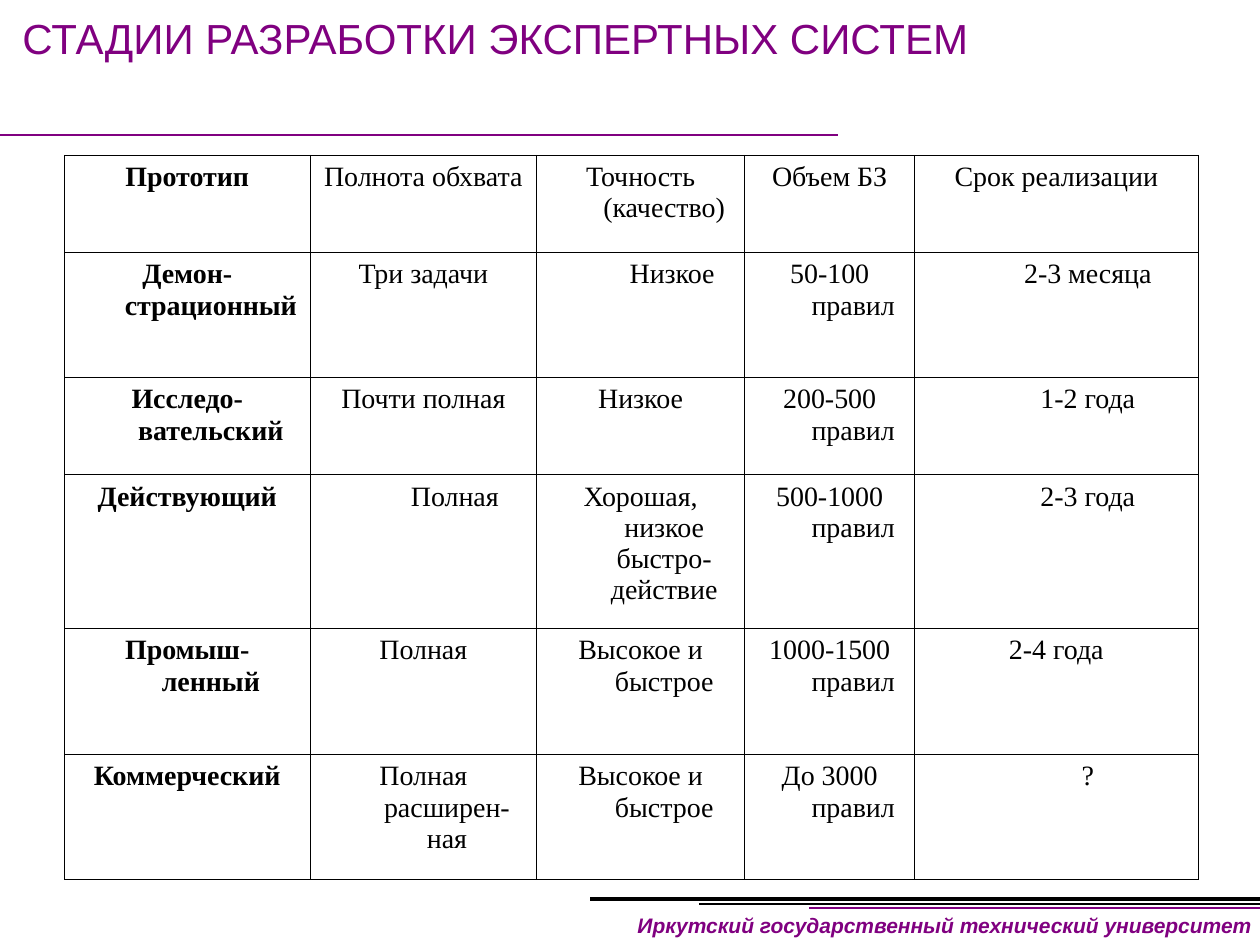
from dataclasses import dataclass

from lxml import etree
from pptx import Presentation
from pptx.dml.color import RGBColor
from pptx.enum.shapes import MSO_CONNECTOR
from pptx.enum.text import MSO_ANCHOR, MSO_AUTO_SIZE, PP_ALIGN
from pptx.oxml import parse_xml
from pptx.oxml.ns import nsdecls, qn
from pptx.util import Cm, Pt

LEFT, CENTER, RIGHT = PP_ALIGN.LEFT, PP_ALIGN.CENTER, PP_ALIGN.RIGHT
TOP = MSO_ANCHOR.TOP
NO_AUTOSIZE = MSO_AUTO_SIZE.NONE
STRAIGHT = MSO_CONNECTOR.STRAIGHT


@dataclass(frozen=True)
class Theme:
    accent: str = "800080"
    ink: str = "000000"
    heading_font: str = "Arial"
    table_font: str = "Times New Roman"
    title_size: int = 24
    table_size: int = 16
    footer_size: int = 12
    border_width: float = 0.45


THEME = Theme()


def write(frame, text, *, font, size, color, align=LEFT, bold=False, italic=False,
          margin=None, first_line=None):
    frame.margin_left = frame.margin_right = Cm(0.25)
    frame.margin_top = frame.margin_bottom = Cm(0.13)
    frame.vertical_anchor = TOP
    target = getattr(frame, "text_frame", frame)
    paragraph = target.paragraphs[0]
    paragraph.alignment = align
    if margin is not None:
        properties = paragraph._p.get_or_add_pPr()
        properties.set("marL", str(margin))
        properties.set("indent", str(first_line))
    run = paragraph.add_run()
    run.text = text
    run.font.name = font
    run.font.size = Pt(size)
    run.font.bold = bold
    run.font.italic = italic
    run.font.color.rgb = RGBColor.from_string(color)


def add_borders(cell):
    properties = cell._tc.get_or_add_tcPr()
    for position, side in enumerate(("lnL", "lnR", "lnT", "lnB")):
        properties.insert(position, parse_xml(
            f'<a:{side} {nsdecls("a")} w="{Pt(THEME.border_width)}">'
            f'<a:solidFill><a:srgbClr val="{THEME.ink}"/></a:solidFill></a:{side}>'))


deck = Presentation()
deck.slide_width, deck.slide_height = Cm(25.4), Cm(19.05)
slide = deck.slides.add_slide(deck.slide_layouts[5])

title = slide.shapes.title
title.left, title.top, title.width, title.height = Cm(0.2), Cm(0.13), Cm(25.3), Cm(1.55)
title.text_frame.auto_size = NO_AUTOSIZE
title.text_frame.word_wrap = True
write(title.text_frame, "СТАДИИ РАЗРАБОТКИ ЭКСПЕРТНЫХ СИСТЕМ",
      font=THEME.heading_font, size=THEME.title_size, color=THEME.accent)

footer = slide.shapes.add_textbox(Cm(12.55), Cm(18.26), Cm(12.95), Cm(0.76))
footer.text_frame.word_wrap = False
write(footer.text_frame, "Иркутский государственный технический университет",
      font=THEME.heading_font, size=THEME.footer_size, color=THEME.accent,
      align=RIGHT, bold=True, italic=True)

rules = [
    (25.5, 16.31, 18.31, THEME.accent, 1),
    (25.5, 14.1, 18.22, THEME.ink, 1.5),
    (25.5, 11.89, 18.13, THEME.ink, 2.25),
    (-0.1, 16.89, 2.72, THEME.accent, 1),
]
for start, end, height, color, weight in rules:
    rule = slide.shapes.add_connector(STRAIGHT, Cm(start), Cm(height), Cm(end), Cm(height))
    rule.line.color.rgb = RGBColor.from_string(color)
    rule.line.width = Pt(weight)
    etree.SubElement(rule._element.spPr, qn("a:effectLst"))

stages = [
    ["Прототип", "Полнота обхвата", "Точность (качество)", "Объем БЗ", "Срок реализации"],
    ["Демон-страционный", "Три задачи", "Низкое", "50-100 правил", "2-3 месяца"],
    ["Исследо-вательский", "Почти полная", "Низкое", "200-500 правил", "1-2 года"],
    ["Действующий", "Полная", "Хорошая, низкое быстро-действие", "500-1000 правил", "2-3 года"],
    ["Промыш-ленный", "Полная", "Высокое и быстрое", "1000-1500 правил", "2-4 года"],
    ["Коммерческий", "Полная расширен-ная", "Высокое и быстрое", "До 3000 правил", "?"],
]
column_widths = [4.95, 4.57, 4.19, 3.43, 5.71]
row_heights = [1.96, 2.52, 1.96, 3.1, 2.54, 2.52]
indented_cells = {(1, 2), (1, 4), (2, 4), (3, 1), (3, 4), (5, 4)}

stage_table = slide.shapes.add_table(
    len(row_heights), len(column_widths), Cm(1.3), Cm(3.13),
    Cm(sum(column_widths)), Cm(sum(row_heights))).table
stage_table.first_row = False
stage_table.horz_banding = False
for column, width in zip(stage_table.columns, column_widths):
    column.width = Cm(width)
for row, height in zip(stage_table.rows, row_heights):
    row.height = Cm(height)

for row_index, stage in enumerate(stages):
    for column_index, entry in enumerate(stage):
        cell = stage_table.cell(row_index, column_index)
        cell.fill.background()
        add_borders(cell)
        indented = (row_index, column_index) in indented_cells
        write(cell, entry, font=THEME.table_font, size=THEME.table_size, color=THEME.ink,
              align=CENTER, bold=column_index == 0, margin=Cm(0.95),
              first_line=Cm(0.32 if indented else -0.95))

deck.save("out.pptx")
